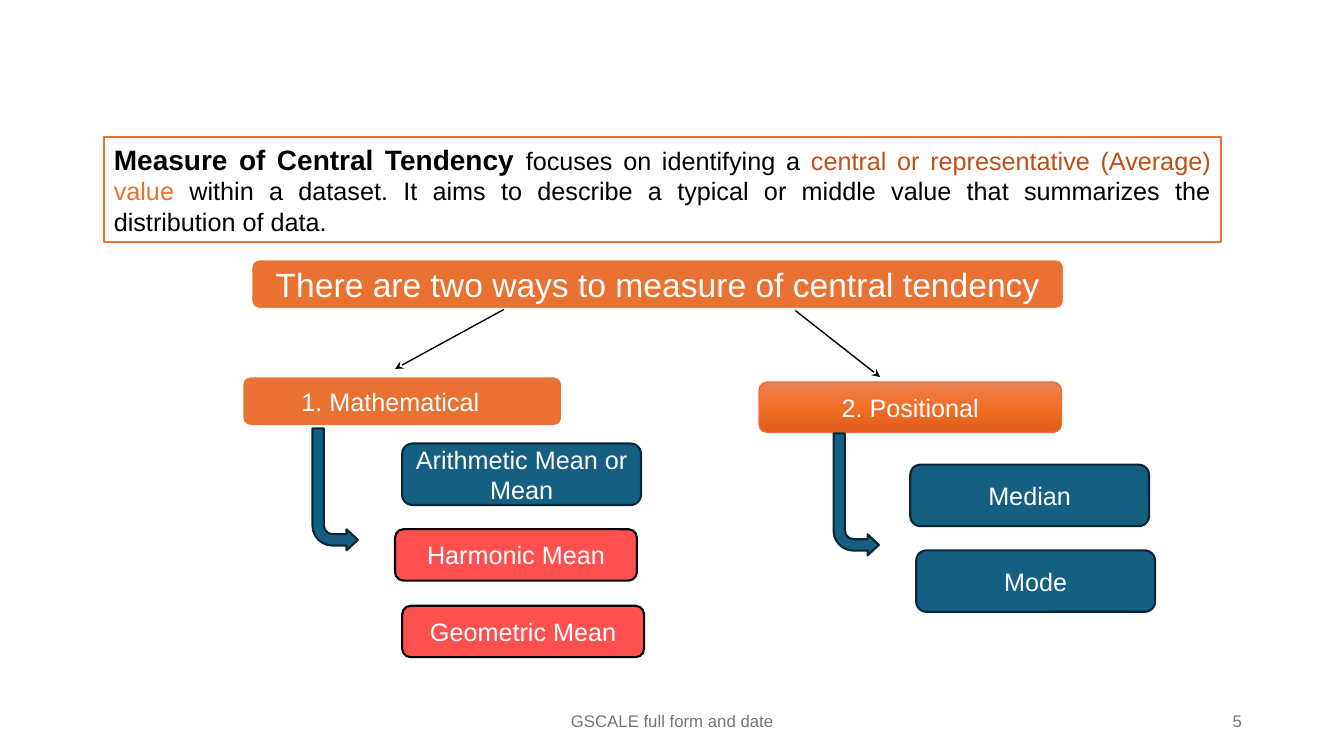
"""Build the slide on measures of central tendency."""
from copy import deepcopy
from dataclasses import dataclass

from lxml.etree import SubElement
from pptx import Presentation
from pptx.dml.color import RGBColor
from pptx.enum.shapes import MSO_CONNECTOR, MSO_SHAPE
from pptx.enum.text import MSO_ANCHOR, PP_ALIGN
from pptx.oxml.ns import qn
from pptx.util import Pt

FONT = "Arial"
WHITE = RGBColor(0xFF, 0xFF, 0xFF)
BLACK = RGBColor(0x00, 0x00, 0x00)
GREY = RGBColor(0x75, 0x75, 0x75)
ORANGE = RGBColor(0xE9, 0x71, 0x32)
RUST = RGBColor(0xBF, 0x4F, 0x14)
TEAL = RGBColor(0x15, 0x60, 0x82)
NAVY = RGBColor(0x08, 0x28, 0x36)
RED = RGBColor(0xFF, 0x50, 0x50)
GLOW = (
    (0, RGBColor(0xEC, 0x81, 0x55)),
    (0.5, RGBColor(0xF2, 0x6E, 0x27)),
    (1, RGBColor(0xDF, 0x5D, 0x19)),
)


@dataclass(frozen=True)
class Style:
    fill: RGBColor
    line: RGBColor
    weight: float


@dataclass(frozen=True)
class Box:
    text: str
    x: float
    y: float
    w: float
    h: float
    style: Style
    size: float = 18


@dataclass(frozen=True)
class Label:
    text: str
    x: float
    w: float
    align: PP_ALIGN


@dataclass(frozen=True)
class Phrase:
    text: str
    color: RGBColor = BLACK
    size: float = 18
    bold: bool = False


@dataclass(frozen=True)
class Arrow:
    x1: float
    y1: float
    x2: float
    y2: float


HEADING = Style(ORANGE, WHITE, 2)
FRAME = Style(WHITE, ORANGE, 1.5)
POSITIONAL = Style(ORANGE, ORANGE, 1)
BLUE = Style(TEAL, NAVY, 1.5)
CORAL = Style(RED, BLACK, 1.5)

DEFINITION = (
    Phrase("Measure of Central Tendency ", size=20, bold=True),
    Phrase("focuses on identifying a "),
    Phrase("central or representative (Average)", RUST),
    Phrase(" value ", ORANGE),
    Phrase("within a dataset. It aims to describe a typical or middle value "
           "that summarizes the distribution of data."),
)
BOXES = (
    Box("There are two ways to measure of central tendency",
        179.3, 185, 581, 36, HEADING, 24),
    Box("1. Mathematical\t", 172.8, 268.6, 229, 36, HEADING),
    Box("Arithmetic Mean or Mean", 287.3, 316.8, 170.6, 43.9, BLUE),
    Box("Harmonic Mean", 282.2, 378, 172.8, 36.7, CORAL),
    Box("Geometric Mean", 287.3, 432.7, 172.8, 36.7, CORAL),
    Box("Median", 650.2, 331.9, 170.6, 43.9, BLUE),
    Box("Mode", 654.5, 393.1, 170.6, 43.9, BLUE),
)
POSITIONAL_BOX = Box("2. Positional", 542.2, 272.9, 216, 36, POSITIONAL)
ARROWS = (Arrow(360, 221, 282.2, 263.5), Arrow(568.1, 221.8, 628.6, 269.3))
BENDS = ((223.2, 306), (595.4, 309.6))
LABELS = (
    Label("GSCALE full form and date", 318.2, 324, PP_ALIGN.CENTER),
    Label("5", 678.2, 216, PP_ALIGN.RIGHT),
)


def add_styled(s, kind, x: float, y: float, w: float, h: float, style: Style):
    sp = s.shapes.add_shape(kind, Pt(x), Pt(y), Pt(w), Pt(h))
    sp.shadow.inherit = False
    sp.fill.solid()
    sp.fill.fore_color.rgb = style.fill
    sp.line.color.rgb = style.line
    sp.line.width = Pt(style.weight)
    return sp


def write(sp, text: str, size: float, color: RGBColor, align: PP_ALIGN) -> None:
    tf = sp.text_frame
    tf.word_wrap = True
    tf.vertical_anchor = MSO_ANCHOR.MIDDLE
    p = tf.paragraphs[0]
    p.text = text
    p.alignment = align
    p.font.name = FONT
    p.font.size = Pt(size)
    p.font.color.rgb = color


def add_box(s, box: Box):
    sp = add_styled(s, MSO_SHAPE.ROUNDED_RECTANGLE,
                    box.x, box.y, box.w, box.h, box.style)
    write(sp, box.text, box.size, WHITE, PP_ALIGN.CENTER)
    return sp


def add_glow(sp) -> None:
    sp.fill.gradient()
    sp.fill.gradient_angle = 270
    stops = sp._element.spPr.find(qn("a:gradFill")).find(qn("a:gsLst"))
    stops.insert(1, deepcopy(stops[0]))
    for stop, (position, color) in zip(sp.fill.gradient_stops, GLOW):
        stop.position = position
        stop.color.rgb = color


def add_definition(s) -> None:
    sp = add_styled(s, MSO_SHAPE.RECTANGLE, 74.2, 97.9, 797.8, 74.9, FRAME)
    tf = sp.text_frame
    tf.word_wrap = True
    tf.vertical_anchor = MSO_ANCHOR.TOP
    p = tf.paragraphs[0]
    p.alignment = PP_ALIGN.JUSTIFY
    p.font.name = FONT
    for phrase in DEFINITION:
        r = p.add_run()
        r.text = phrase.text
        r.font.size = Pt(phrase.size)
        r.font.bold = phrase.bold
        r.font.color.rgb = phrase.color


def add_bend(s, x: float, y: float) -> None:
    sp = add_styled(s, MSO_SHAPE.BENT_ARROW, x, y, 32.4, 87.1, BLUE)
    for i, value in enumerate((0.25, 0.232, 0.25, 0.438)):
        sp.adjustments[i] = value
    sp.rotation = 180
    sp._element.spPr.find(qn("a:xfrm")).set("flipH", "1")


def add_arrow(s, arrow: Arrow) -> None:
    sp = s.shapes.add_connector(MSO_CONNECTOR.STRAIGHT, Pt(arrow.x1),
                                Pt(arrow.y1), Pt(arrow.x2), Pt(arrow.y2))
    sp.line.color.rgb = BLACK
    sp.line.width = Pt(1)
    SubElement(sp.line._get_or_add_ln(), qn("a:tailEnd"), type="stealth")
    SubElement(sp._element.spPr, qn("a:effectLst"))


def add_label(s, label: Label) -> None:
    sp = s.shapes.add_textbox(Pt(label.x), Pt(500.4), Pt(label.w), Pt(28.8))
    write(sp, label.text, 12, GREY, label.align)


def main() -> None:
    prs = Presentation()
    prs.slide_width, prs.slide_height = Pt(960), Pt(540)
    s = prs.slides.add_slide(prs.slide_layouts[6])
    for label in LABELS:
        add_label(s, label)
    add_definition(s)
    for box in BOXES:
        add_box(s, box)
    add_glow(add_box(s, POSITIONAL_BOX))
    for x, y in BENDS:
        add_bend(s, x, y)
    for arrow in ARROWS:
        add_arrow(s, arrow)
    prs.save("out.pptx")


if __name__ == "__main__":
    main()
